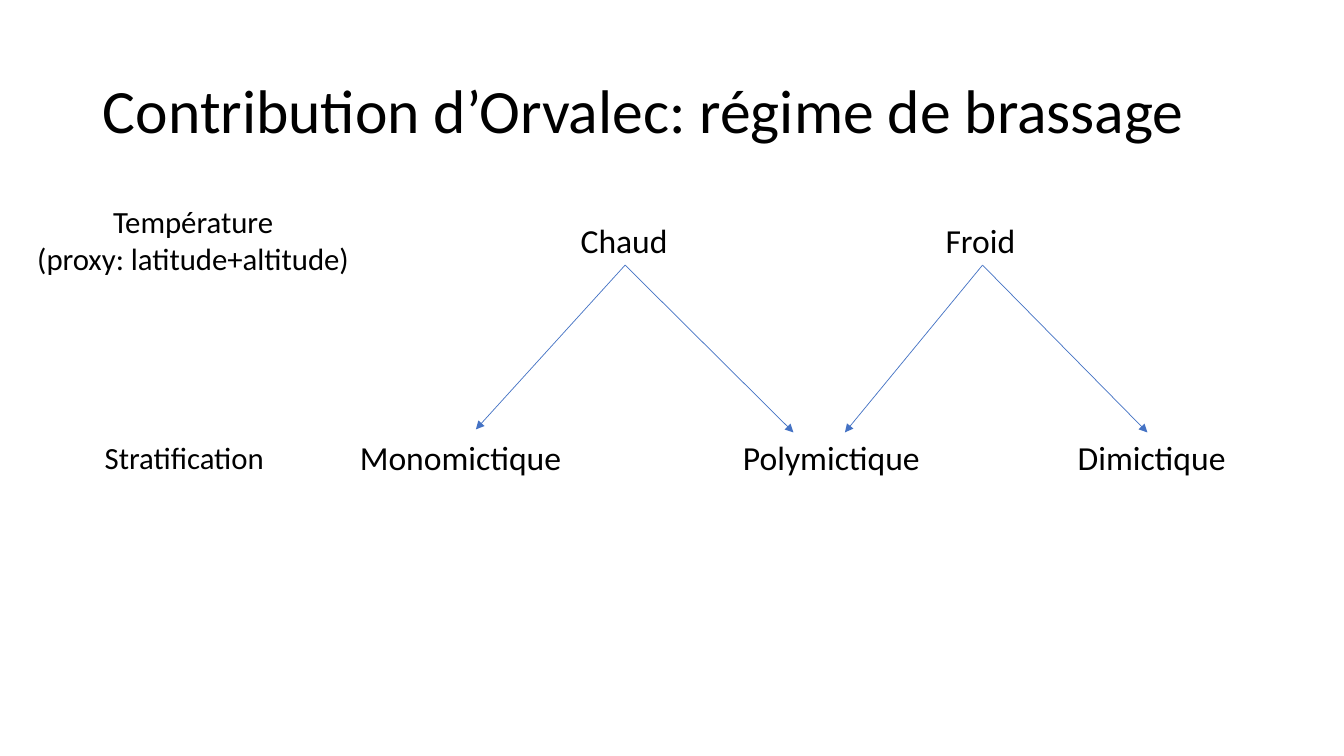
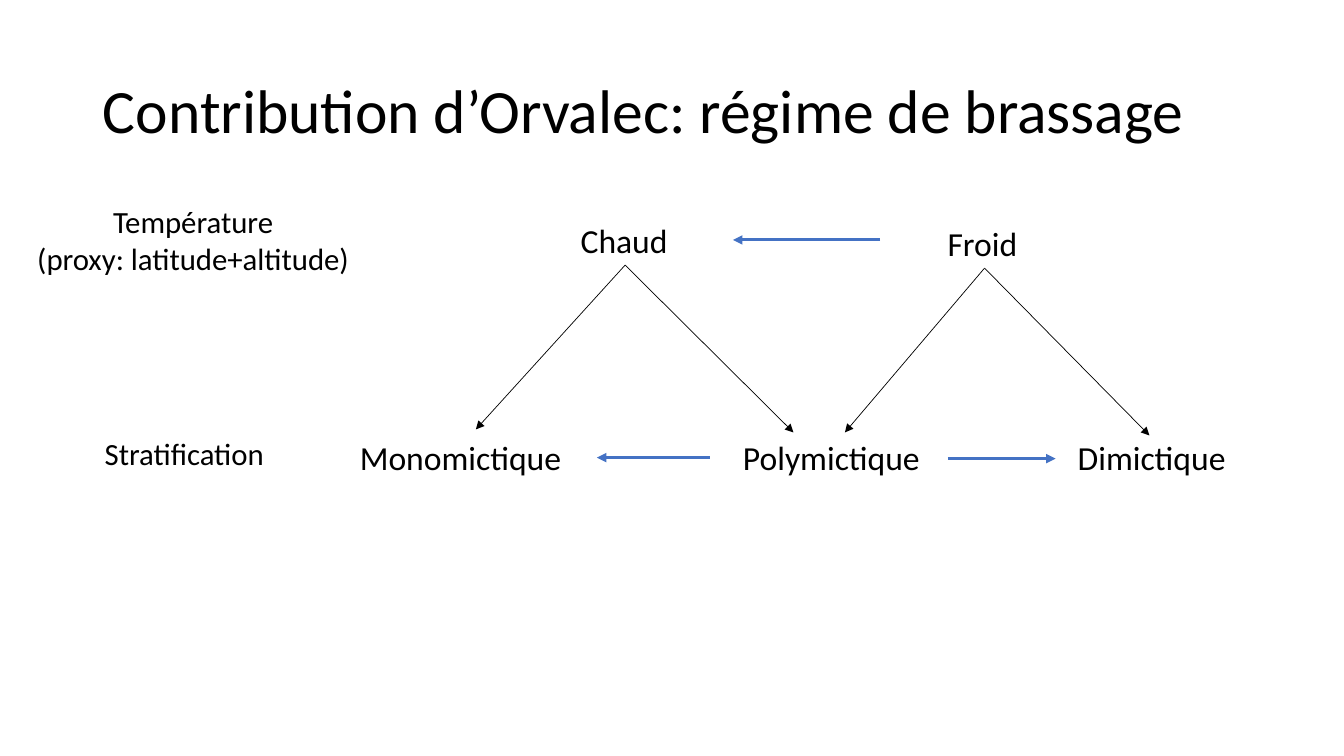
import pptx
import pptx.dml.color
import pptx.enum.shapes
import pptx.enum.text
import pptx.oxml
import pptx.oxml.ns
import pptx.util
from pptx.util import Inches

BLACK = pptx.dml.color.RGBColor(0x00, 0x00, 0x00)
BLUE = pptx.dml.color.RGBColor(0x44, 0x72, 0xC4)
FONT = "Calibri"
ALIGN = pptx.enum.text.PP_ALIGN
TITLE = "Contribution d’Orvalec: régime de brassage"
TITLE_BOX = (0.92, 0.4, 11.5, 1.45)
DIAGRAM_BOX = (0.22, 1.96, 12.88, 2.83)
TOP_ROW, NODE_HEIGHT = 0.17, 0.5
THIN, THICK = 0.5, 2.25


def place(sp, box):
    """Move and size a shape to a box in inches."""
    for name, value in zip(("left", "top", "width", "height"), box):
        setattr(sp, name, Inches(value))


def write(tf, lines, size, align=ALIGN.LEFT):
    """Fill a text frame with one paragraph per line."""
    tf.word_wrap = True
    tf.text = "\n".join(lines)
    style = {"name": FONT, "size": pptx.util.Pt(size)}
    for p in tf.paragraphs:
        p.alignment = align
        for r in p.runs:
            for name, value in style.items():
                setattr(r.font, name, value)
            r.font.color.rgb = BLACK


def add_title(s, box):
    """Place the slide title in its placeholder."""
    sp = s.shapes.title
    place(sp, box)
    tf = sp.text_frame
    write(tf, [TITLE], 44)
    tf.auto_size = pptx.enum.text.MSO_AUTO_SIZE.NONE
    tf.vertical_anchor = pptx.enum.text.MSO_ANCHOR.MIDDLE
    tf.paragraphs[0].line_spacing = 0.9


def add_label(s, box, lines, size=24, align=ALIGN.LEFT):
    """Add a text box that grows with its text."""
    left, top, width, height = box
    sp = s.shapes.add_textbox(Inches(left), Inches(top), Inches(width), Inches(height))
    write(sp.text_frame, lines, size, align)
    sp.text_frame.auto_size = pptx.enum.text.MSO_AUTO_SIZE.SHAPE_TO_FIT_TEXT


def add_arrow(s, start, end, color, width):
    """Add a straight arrow with a triangle at its end."""
    line = s.shapes.add_connector(
        pptx.enum.shapes.MSO_CONNECTOR.STRAIGHT, *map(Inches, (*start, *end)))
    line.line.color.rgb = color
    line.line.width = pptx.util.Pt(width)
    head = pptx.oxml.parse_xml(
        f'<a:tailEnd {pptx.oxml.ns.nsdecls("a")} type="triangle"/>')
    line.line._get_or_add_ln().append(head)
    line._element.spPr.append(
        pptx.oxml.parse_xml(f'<a:effectLst {pptx.oxml.ns.nsdecls("a")}/>'))


def add_row_names(s, box, strat_top):
    """Name the temperature and stratification rows at the left of the box."""
    left, top = box[:2]
    add_label(s, (left, top, 3.39, 0.84),
              ["Température", "(proxy: latitude+altitude)"], 22, ALIGN.CENTER)
    add_label(s, (left + 0.72, top + strat_top, 1.95, 0.47), ["Stratification"], 22)


def add_tree(s, box, color, cold_shift):
    """Link each temperature to the mixing regimes it can lead to."""
    left, top = box[:2]
    bottom = top + box[3] - NODE_HEIGHT
    for text, x, width in (("Monomictique", 3.25, 2.51),
                           ("Polymictique", 7.05, 2.22),
                           ("Dimictique", 10.37, 2.51)):
        add_label(s, (left + x, bottom, width, NODE_HEIGHT), [text])
    dx, dy = cold_shift
    for text, x, y, width, ends in (
            ("Chaud", 5.44, TOP_ROW, 1.08, ((4.5, -0.03), (7.65, 0))),
            ("Froid", 9.06 + dx, TOP_ROW + dy, 0.93, ((8.16, 0), (11.16 + dx, dy)))):
        add_label(s, (left + x, top + y, width, NODE_HEIGHT), [text])
        start = (left + x + width / 2, top + y + NODE_HEIGHT)
        for end_x, end_dy in ends:
            add_arrow(s, start, (left + end_x, bottom + end_dy), color, THIN)


def add_shifts(s, box):
    """Show the direction of change within each row."""
    left, top = box[:2]
    for start_x, end_x, y in ((8.51, 7.05, 0.42), (9.18, 10.25, 2.59),
                              (6.82, 5.7, 2.58)):
        add_arrow(s, (left + start_x, top + y), (left + end_x, top + y), BLUE, THICK)


def add_regime_slide(prs, color, strat_top, cold_shift=(0, 0)):
    """Add a titled slide with the mixing regime diagram."""
    s = prs.slides.add_slide(prs.slide_layouts[5])
    add_title(s, TITLE_BOX)
    add_row_names(s, DIAGRAM_BOX, strat_top)
    add_tree(s, DIAGRAM_BOX, color, cold_shift)
    return s


prs = pptx.Presentation()
prs.slide_width, prs.slide_height = Inches(13.33), Inches(7.5)
add_regime_slide(prs, BLUE, 2.34)
s = add_regime_slide(prs, BLACK, 2.3, cold_shift=(0.02, 0.03))
add_shifts(s, DIAGRAM_BOX)
prs.save("out.pptx")
